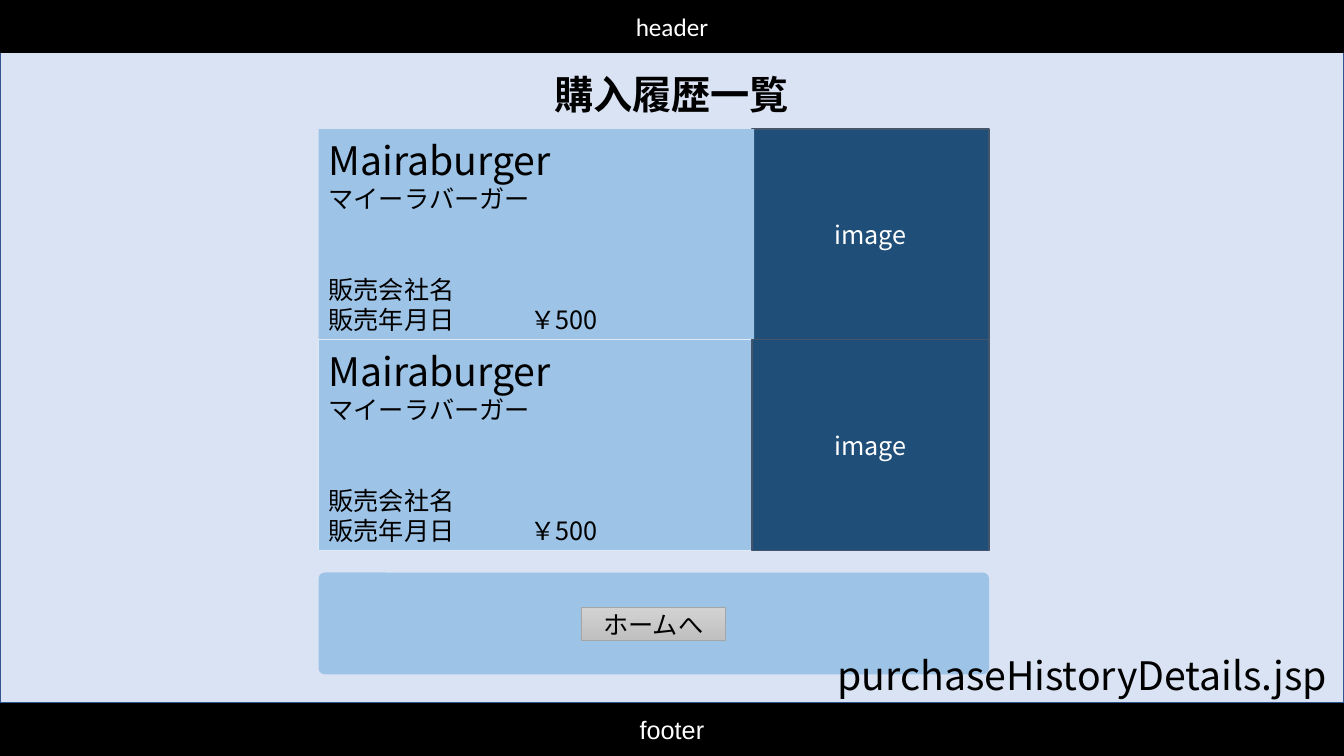
import pptx
import pptx.util
import pptx.dml.color
import pptx.enum.shapes
import pptx.enum.text
import pptx.oxml.ns
import lxml.etree

Inches, Pt = pptx.util.Inches, pptx.util.Pt
KIND = pptx.enum.shapes.MSO_SHAPE
ALIGN = pptx.enum.text.PP_ALIGN
ANCHOR = pptx.enum.text.MSO_ANCHOR

NOTO = "Noto Sans CJK JP"
HUES = {"black": "000000", "white": "FFFFFF", "page": "DAE3F3", "edge": "325491",
        "card": "9DC3E6", "rim": "DEEBF7", "photo": "1F4E79", "frame": "44546A",
        "light": "D2D2D2", "dark": "C0C0C0", "grey": "A5A5A5"}
TITLE = "購入履歴一覧"
BARS = [("header", "Calibri", 0), ("footer", "Arial", 6.98)]
ITEM = [("Mairaburger", 28, 35.5, 0), ("マイーラバーガー", 18, 21.6, 0),
        ("販売会社名", 18, 21.6, 43.2), ("販売年月日\t\t￥500", 18, 21.6, 0)]
PHOTO = "image"
HOME = "ホームへ"
FILE = "purchaseHistoryDetails.jsp"
WIDE, TALL, BAR = 13.33, 7.5, 0.52
LEFT, TOP, ROW = 3.16, 1.28, 2.09

deck = pptx.Presentation()
deck.slide_width, deck.slide_height = Inches(WIDE), Inches(TALL)
slide = deck.slides.add_slide(deck.slide_layouts[5])


def color(name):
    return pptx.dml.color.RGBColor.from_string(HUES[name])


def box(x, y, w, h, fill, line=None, width=1, kind=KIND.RECTANGLE):
    shape = slide.shapes.add_shape(kind, Inches(x), Inches(y), Inches(w), Inches(h))
    shape.shadow.inherit = False
    shape.fill.solid()
    shape.fill.fore_color.rgb = color(fill)
    if line:
        shape.line.color.rgb = color(line)
        shape.line.width = Pt(width)
    else:
        shape.line.fill.background()
    return shape


def style(para, size, hue, face=NOTO, align=ALIGN.CENTER, bold=False):
    para.alignment = align
    font = para.font
    font.size, font.name, font.bold = Pt(size), face, bold
    font.color.rgb = color(hue)
    props = para._p.pPr.find(pptx.oxml.ns.qn("a:defRPr"))
    east = lxml.etree.SubElement(props, pptx.oxml.ns.qn("a:ea"))
    east.set("typeface", face)


def label(shape, text, size, hue, **more):
    frame = shape.text_frame
    frame.text = text
    frame.word_wrap = True
    frame.auto_size = pptx.enum.text.MSO_AUTO_SIZE.NONE
    frame.vertical_anchor = ANCHOR.MIDDLE
    style(frame.paragraphs[0], size, hue, **more)


def photo(y):
    label(box(7.46, y, 2.35, ROW, "photo", "frame"), PHOTO, 18, "white")


def card(y, line):
    frame = box(LEFT, y, 4.32, ROW, "card", line, 0.75).text_frame
    frame.word_wrap = True
    frame.vertical_anchor = ANCHOR.TOP
    frame.text = "\n".join(row[0] for row in ITEM)
    for para, (text, size, pitch, gap) in zip(frame.paragraphs, ITEM):
        para.line_spacing = Pt(pitch)
        if gap:
            para.space_before = Pt(gap)
        style(para, size, "black", align=ALIGN.LEFT)


box(0, BAR, WIDE, 6.45, "page", "edge")
panel = box(LEFT, 5.68, 6.65, 1.01, "card", kind=KIND.ROUNDED_RECTANGLE)
panel.adjustments[0] = 0.06
for text, face, y in BARS:
    label(box(0, y, WIDE, BAR, "black", "black"), text, 18, "white", face=face)

title = slide.shapes.title
title.left, title.top = Inches(5.1), Inches(0.65)
title.width, title.height = Inches(3.12), Inches(0.57)
label(title, TITLE, 28, "black", bold=True)
slide.shapes._spTree.append(title._element)

photo(TOP)
card(TOP, None)
card(TOP + ROW, "rim")
note = slide.shapes.add_textbox(Inches(8.21), Inches(6.41), Inches(5.13), Inches(0.57))
label(note, FILE, 28, "black", align=ALIGN.LEFT)
photo(TOP + ROW)

home = box(5.77, 6.03, 1.42, 0.32, "light", "grey", 0.5)
home.fill.gradient()
home.fill.gradient_angle = 270
for stop, hue in zip(home.fill.gradient_stops, ("light", "dark")):
    stop.color.rgb = color(hue)
label(home, HOME, 18, "black")

deck.save("out.pptx")
